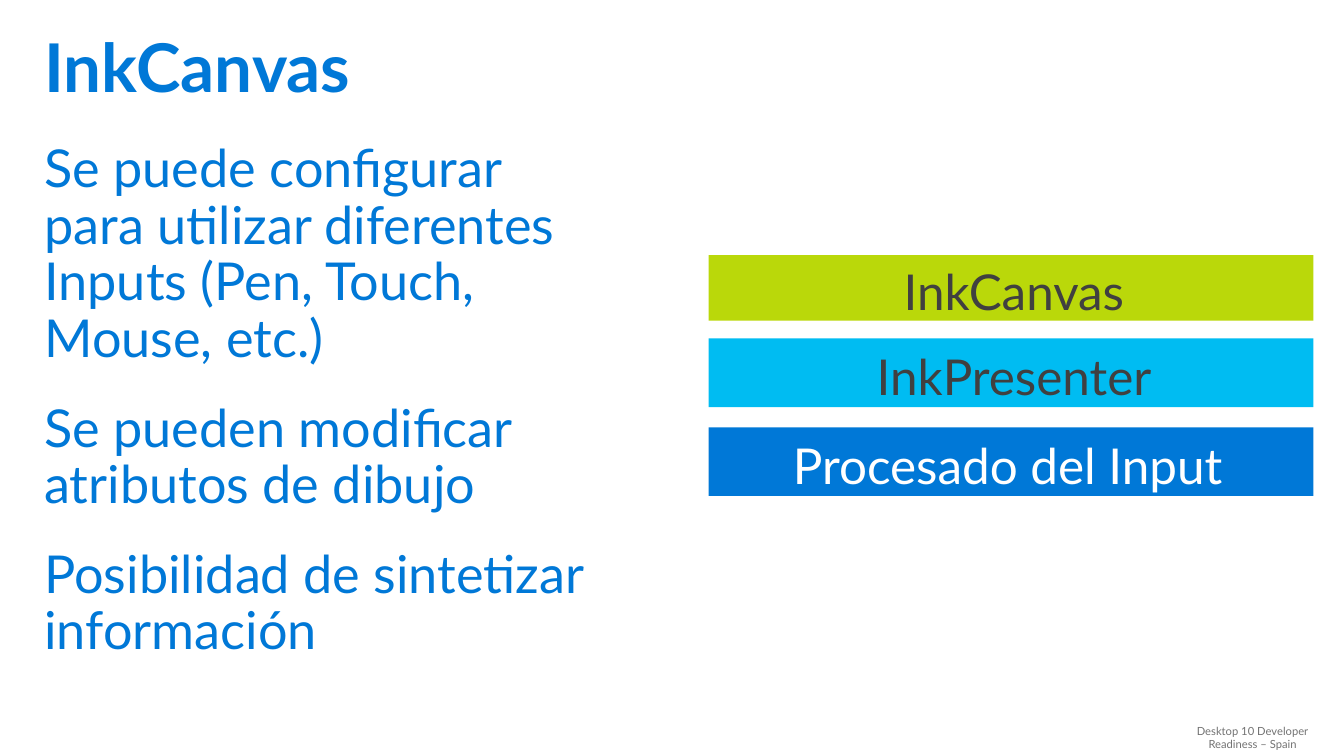
from pptx import Presentation
from pptx.dml.color import RGBColor
from pptx.enum.shapes import MSO_SHAPE
from pptx.enum.text import MSO_ANCHOR, MSO_AUTO_SIZE, PP_ALIGN
from pptx.util import Cm, Pt

BLUE, LIME, CYAN = "0078D7", "BAD80A", "00BCF2"
DARK, GREY, WHITE = "404040", "737373", "FFFFFF"


def color(value):
    return RGBColor.from_string(value)


class InkSlide:
    font = "Lato"
    wide_insets = (0.38, 0.3, 0.38, 0.3)
    layer_insets = (0.25, 0.25, 0.1, 0.1)
    label_insets = (0.25, 0.13, 0.25, 0.13)

    def __init__(self, deck):
        self.slide = deck.slides.add_slide(deck.slide_layouts[5])

    def fill_text(self, shape, text, size, ink, insets, align=PP_ALIGN.LEFT,
                  anchor=MSO_ANCHOR.TOP, bold=False, line_spacing=1.0, gap=0):
        frame = shape.text_frame
        frame.text = text
        frame.word_wrap = True
        frame.auto_size = MSO_AUTO_SIZE.NONE
        frame.vertical_anchor = anchor
        (frame.margin_left, frame.margin_top,
         frame.margin_right, frame.margin_bottom) = map(Cm, insets)
        for index, paragraph in enumerate(frame.paragraphs):
            paragraph.alignment = align
            paragraph.line_spacing = line_spacing
            paragraph.space_before = Pt(gap if index else 0)
            for run in paragraph.runs:
                run.font.name = self.font
                run.font.size = Pt(size)
                run.font.bold = bold
                run.font.color.rgb = color(ink)

    def title(self, text, left, top, width, height):
        heading = self.slide.shapes.title
        heading.left, heading.top = Cm(left), Cm(top)
        heading.width, heading.height = Cm(width), Cm(height)
        self.fill_text(heading, text, 48, BLUE, self.wide_insets,
                       bold=True, line_spacing=0.9)

    def text(self, text, left, top, width, height, **style):
        box = self.slide.shapes.add_textbox(
            Cm(left), Cm(top), Cm(width), Cm(height))
        self.fill_text(box, text, **style)

    def layer(self, text, fill, ink, top, height):
        bar = self.slide.shapes.add_shape(
            MSO_SHAPE.RECTANGLE, Cm(17.86), Cm(top), Cm(15.24), Cm(height))
        bar.shadow.inherit = False
        bar.fill.solid()
        bar.fill.fore_color.rgb = color(fill)
        bar.line.fill.background()
        self.fill_text(bar, text, 35.3, ink, self.layer_insets,
                       align=PP_ALIGN.CENTER, anchor=MSO_ANCHOR.MIDDLE)


def main():
    deck = Presentation()
    deck.slide_width, deck.slide_height = Cm(33.87), Cm(19.05)
    ink = InkSlide(deck)

    ink.text("Desktop 10 Developer\vReadiness – Spain", 29.26, 18.11, 4.62, 0.84,
             size=8, ink=GREY, insets=ink.label_insets, align=PP_ALIGN.CENTER)
    ink.title("InkCanvas", 0.74, 0.56, 32.36, 2.72)

    features = [
        "Se puede configurar para utilizar diferentes Inputs (Pen, Touch, Mouse, etc.)",
        "Se pueden modificar atributos de dibujo",
        "Posibilidad de sintetizar información",
    ]
    ink.text("\n".join(features), 0.74, 3.3, 14.73, 16.94, size=37.3, ink=BLUE,
             insets=ink.wide_insets, line_spacing=0.9, gap=24)

    layers = [
        ("Procesado del Input ", BLUE, WHITE, 10.77, 1.73),
        ("InkCanvas", LIME, DARK, 6.43, 1.65),
        ("InkPresenter", CYAN, DARK, 8.53, 1.73),
    ]
    for layer in layers:
        ink.layer(*layer)

    deck.save("out.pptx")


if __name__ == "__main__":
    main()
